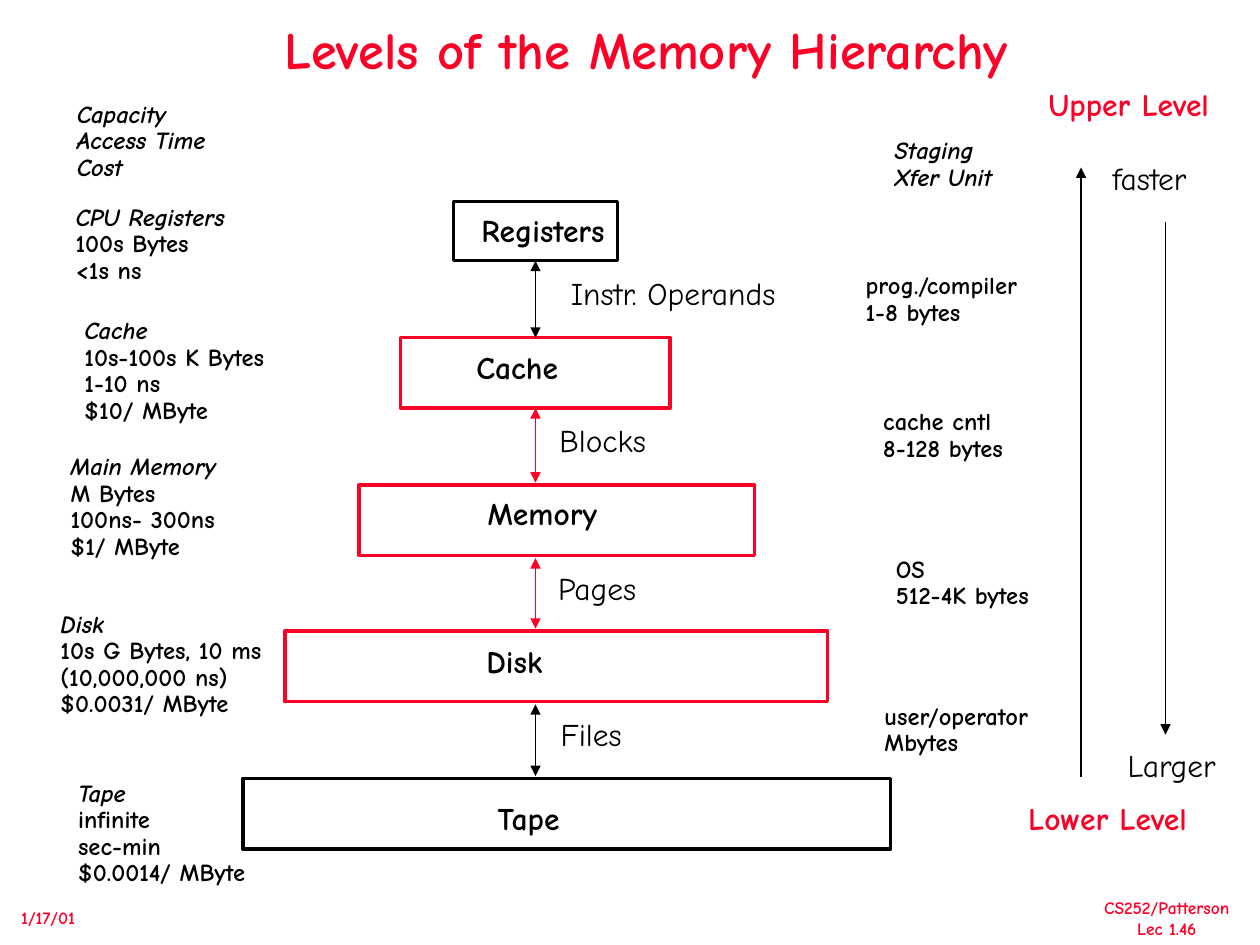
from dataclasses import dataclass

import pptx
import pptx.dml.color
import pptx.enum.shapes
import pptx.enum.text
import pptx.oxml
import pptx.oxml.ns
import pptx.util
from pptx.util import Inches

ALIGN = pptx.enum.text.PP_ALIGN
ANCHOR = pptx.enum.text.MSO_ANCHOR


@dataclass(frozen=True)
class Theme:
    font: str = "Comic Neue"
    ink: str = "000000"
    accent: str = "FC0128"
    title: int = 30
    label: int = 18
    detail: int = 14
    footer: int = 10
    border: int = 2
    arrow: int = 1


@dataclass(frozen=True)
class Box:
    left: float
    top: float
    width: float
    height: float

    @property
    def bottom(self):
        return self.top + self.height

    def centred_on(self, x):
        return abs(self.left + self.width / 2 - x) < 0.01


THEME = Theme()
TRANSFER_AXIS = 4.25
ARROW_GAP = 0.02
LABEL_HEIGHT = 0.31
TEXT_SLACK = 0.1  # spare width that keeps each line whole

# name, colour, outline, label left / top / width
TIERS = [
    ("Registers", THEME.ink, Box(3.6, 1.6, 1.3, 0.47), (3.75, 1.69, 1.12)),
    ("Cache", THEME.accent, Box(3.18, 2.68, 2.14, 0.56), (3.71, 2.78, 0.79)),
    ("Memory", THEME.accent, Box(2.85, 3.85, 3.14, 0.56), (3.8, 3.94, 1.01)),
    ("Disk", THEME.accent, Box(2.26, 5.01, 4.31, 0.56), (3.79, 5.11, 0.58)),
    ("Tape", THEME.ink, Box(1.93, 6.18, 5.14, 0.56), (3.88, 6.36, 0.65)),
]
# unit moved between neighbouring tiers, colour, left, top, width
TRANSFERS = [
    ("Instr. Operands", THEME.ink, 4.46, 2.19, 1.79),
    ("Blocks", THEME.accent, 4.37, 3.36, 0.83),
    ("Pages", THEME.accent, 4.36, 4.53, 0.77),
    ("Files", THEME.ink, 4.38, 5.69, 0.62),
]
# lines, number of italic lines, box
CAPACITIES = [
    (["Capacity", "Access Time", "Cost"], 3, Box(0.54, 0.78, 1.16, 0.69)),
    (["CPU Registers", "100s Bytes", "<1s ns"], 1, Box(0.53, 1.6, 1.33, 0.69)),
    (["Cache", "10s-100s K Bytes", "1-10 ns", "$10/ MByte"], 1,
     Box(0.6, 2.5, 1.57, 0.9)),
    (["Main Memory", "M Bytes", "100ns- 300ns", "$1/ MByte"], 1,
     Box(0.49, 3.58, 1.29, 0.9)),
    (["Disk", "10s G Bytes, 10 ms", "(10,000,000 ns)", "$0.0031/ MByte"], 1,
     Box(0.41, 4.83, 1.81, 0.9)),
    (["Tape", "infinite", "sec-min", "$0.0014/ MByte"], 1,
     Box(0.55, 6.17, 1.47, 0.9)),
]
STAGING = [
    (["Staging", "Xfer Unit"], 2, Box(7.03, 1.07, 0.92, 0.48)),
    (["prog./compiler", "1-8 bytes"], 0, Box(6.8, 2.14, 1.36, 0.48)),
    (["cache cntl", "8-128 bytes"], 0, Box(6.94, 3.22, 1.1, 0.48)),
    (["OS", "512-4K bytes"], 0, Box(7.04, 4.39, 1.2, 0.48)),
    (["user/operator", "Mbytes"], 0, Box(6.95, 5.56, 1.3, 0.48)),
]


def rgb(color):
    return pptx.dml.color.RGBColor.from_string(color)


def add_text(slide, lines, box, size=THEME.label, color=THEME.ink, bold=False,
             italic_lines=0, align=ALIGN.LEFT, anchor=ANCHOR.TOP, spacing=0.85,
             inset=(0.07, 0.03)):
    """Place one paragraph per line; the first italic_lines are italic."""
    slack = TEXT_SLACK if align == ALIGN.LEFT else 0
    frame = slide.shapes.add_textbox(
        Inches(box.left), Inches(box.top),
        Inches(box.width + slack), Inches(box.height)).text_frame
    frame.word_wrap = True
    frame.vertical_anchor = anchor
    frame.margin_left = frame.margin_right = Inches(inset[0])
    frame.margin_top = frame.margin_bottom = Inches(inset[1])
    for index, line in enumerate(lines):
        paragraph = frame.paragraphs[0] if index == 0 else frame.add_paragraph()
        paragraph.alignment = align
        paragraph.line_spacing = spacing
        run = paragraph.add_run()
        run.text = line
        run.font.name = THEME.font
        run.font.size = pptx.util.Pt(size)
        run.font.bold = bold
        run.font.italic = index < italic_lines
        run.font.color.rgb = rgb(color)


def add_arrow(slide, start, end, color=THEME.ink, both_ends=False):
    arrow = slide.shapes.add_connector(
        pptx.enum.shapes.MSO_CONNECTOR.STRAIGHT,
        Inches(start[0]), Inches(start[1]), Inches(end[0]), Inches(end[1]))
    arrow.line.color.rgb = rgb(color)
    arrow.line.width = pptx.util.Pt(THEME.arrow)
    line = arrow.line._get_or_add_ln()
    for tag in ("a:headEnd", "a:tailEnd") if both_ends else ("a:tailEnd",):
        line.append(pptx.oxml.parse_xml(
            f'<{tag} {pptx.oxml.ns.nsdecls("a")} type="triangle"/>'))
    arrow._element.spPr.append(
        pptx.oxml.parse_xml(f'<a:effectLst {pptx.oxml.ns.nsdecls("a")}/>'))
    return arrow


def add_tier(slide, name, color, box, label):
    outline = slide.shapes.add_shape(
        pptx.enum.shapes.MSO_SHAPE.RECTANGLE,
        Inches(box.left), Inches(box.top), Inches(box.width), Inches(box.height))
    outline.shadow.inherit = False
    outline.fill.background()
    outline.line.color.rgb = rgb(color)
    outline.line.width = pptx.util.Pt(THEME.border)
    add_text(slide, [name], Box(*label, LABEL_HEIGHT), bold=True)
    return outline


def add_pyramid(slide, tiers, transfers):
    """Stack the tiers, with upright two-way arrows on one axis between them."""
    placed = [(add_tier(slide, *tier), tier[2]) for tier in tiers]
    for (upper, above), (lower, below), transfer in zip(
            placed, placed[1:], transfers):
        unit, color, left, top, width = transfer
        arrow = add_arrow(slide, (TRANSFER_AXIS, above.bottom + ARROW_GAP),
                          (TRANSFER_AXIS, below.top - ARROW_GAP),
                          color, both_ends=True)
        if above.centred_on(TRANSFER_AXIS):
            arrow.begin_connect(upper, 2)
        if below.centred_on(TRANSFER_AXIS):
            arrow.end_connect(lower, 0)
        add_text(slide, [unit], Box(left, top, width, LABEL_HEIGHT))


def add_notes_column(slide, entries):
    for lines, italic_lines, box in entries:
        add_text(slide, lines, box, size=THEME.detail, bold=True,
                 italic_lines=italic_lines, spacing=0.9)


def add_level_scale(slide, box):
    """Draw the speed and size arrows between the level names."""
    def part(left, top, width):
        return Box(box.left + left, box.top + top, width, LABEL_HEIGHT)

    heading = dict(color=THEME.accent, bold=True)
    add_text(slide, ["Upper Level"], part(0.16, 0, 1.42), **heading)
    add_text(slide, ["Lower Level"], part(0, 5.67, 1.4), **heading)
    add_text(slide, ["faster"], part(0.67, 0.59, 0.74))
    add_text(slide, ["Larger"], part(0.79, 5.25, 0.85))
    speed, size = box.left + 0.49, box.left + 1.16
    add_arrow(slide, (speed, box.top + 5.48), (speed, box.top + 0.64))
    add_arrow(slide, (size, box.top + 1.07), (size, box.top + 5.14))


def add_title(slide, box):
    add_text(slide, ["Levels of the Memory Hierarchy"], box, size=THEME.title,
             color=THEME.accent, bold=True, align=ALIGN.CENTER,
             anchor=ANCHOR.MIDDLE, spacing=0.9, inset=(0.1, 0.05))


def add_footer(slide, box):
    style = dict(size=THEME.footer, color=THEME.accent, bold=True, spacing=1.0,
                 inset=(0.1, 0.05))
    add_text(slide, ["1/17/01"], Box(box.left, box.top + 0.08, 0.62, 0.27), **style)
    add_text(slide, ["CS252/Patterson", "Lec 1.46"],
             Box(box.left + box.width - 1.2, box.top, 1.2, box.height),
             align=ALIGN.CENTER, **style)


def main():
    deck = pptx.Presentation()
    deck.slide_width, deck.slide_height = Inches(10), Inches(7.5)
    slide = deck.slides.add_slide(deck.slide_layouts[6])
    add_footer(slide, Box(0.07, 7.07, 9.79, 0.43))
    add_title(slide, Box(0.27, 0.19, 9.72, 0.45))
    add_notes_column(slide, CAPACITIES)
    add_pyramid(slide, TIERS, TRANSFERS)
    add_notes_column(slide, STAGING)
    add_level_scale(slide, Box(8.09, 0.69, 1.64, 5.98))
    deck.save("out.pptx")


if __name__ == "__main__":
    main()
